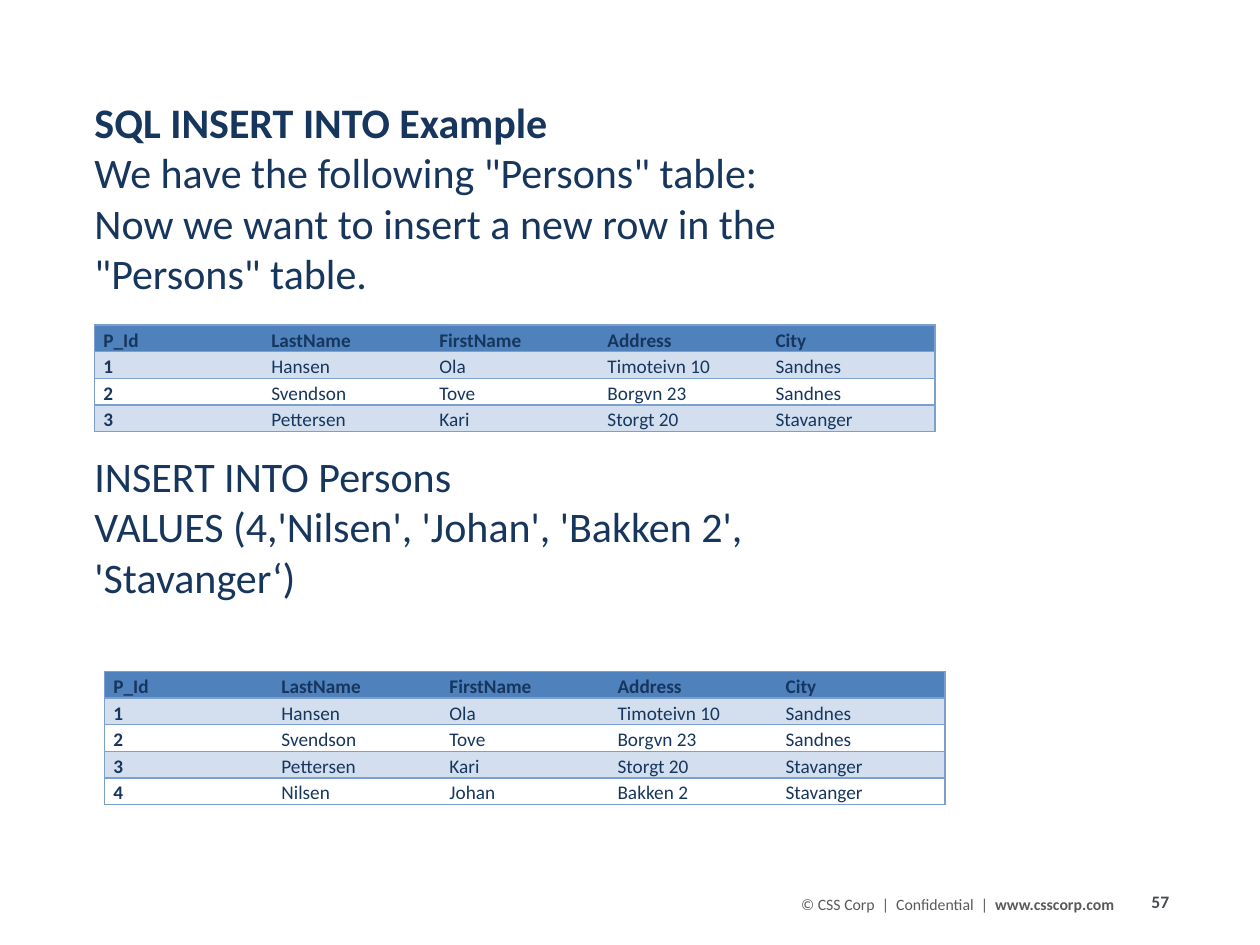
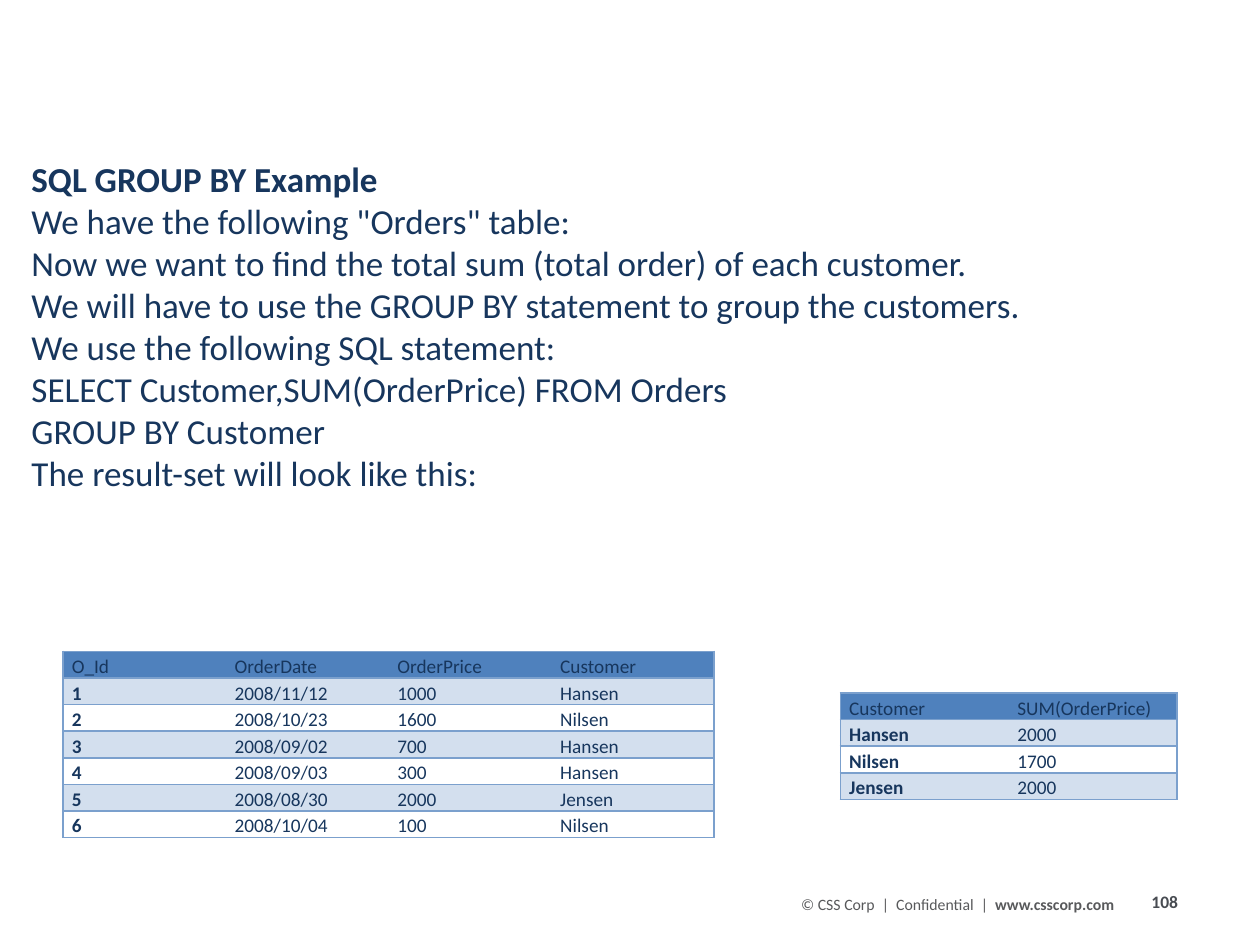
from dataclasses import dataclass

import pptx
import pptx.dml.color
import pptx.enum.text
import pptx.oxml.ns
import pptx.util
from lxml import etree
from pptx.util import Inches


@dataclass(frozen=True)
class Theme:
    """Colours, font and type sizes of the deck."""
    font: str = "Calibri"
    navy: str = "17365D"
    header_fill: str = "4F81BD"
    band_fill: str = "D3DFEE"
    rule: str = "7BA0CD"
    footer_grey: str = "58595B"
    number_grey: str = "484C52"
    table_size: int = 11
    footer_size: int = 9
    number_size: int = 10
    row_height: float = 0.21


THEME = Theme()

PERSONS = [
    ("P_Id", "LastName", "FirstName", "Address", "City"),
    ("1", "Hansen", "Ola", "Timoteivn 10", "Sandnes"),
    ("2", "Svendson", "Tove", "Borgvn 23", "Sandnes"),
    ("3", "Pettersen", "Kari", "Storgt 20", "Stavanger"),
]
NEW_PERSON = ("4", "Nilsen", "Johan", "Bakken 2", "Stavanger")

ORDERS = [
    ("O_Id", "OrderDate", "OrderPrice", "Customer"),
    ("1", "2008/11/12", "1000", "Hansen"),
    ("2", "2008/10/23", "1600", "Nilsen"),
    ("3", "2008/09/02", "700", "Hansen"),
    ("4", "2008/09/03", "300", "Hansen"),
    ("5", "2008/08/30", "2000", "Jensen"),
    ("6", "2008/10/04", "100", "Nilsen"),
]
CUSTOMER_TOTALS = [
    ("Customer", "SUM(OrderPrice)"),
    ("Hansen", "2000"),
    ("Nilsen", "1700"),
    ("Jensen", "2000"),
]

INSERT_TEXT = [
    "SQL INSERT INTO Example",
    'We have the following "Persons" table:',
    'Now we want to insert a new row in the "Persons" table.',
    "INSERT INTO Persons\nVALUES (4,'Nilsen', 'Johan', 'Bakken 2', 'Stavanger‘)",
]
GROUP_TEXT = [
    "SQL GROUP BY Example",
    'We have the following "Orders" table:',
    "Now we want to find the total sum (total order) of each customer.",
    "We will have to use the GROUP BY statement to group the customers.",
    "We use the following SQL statement:",
    "SELECT Customer,SUM(OrderPrice) FROM Orders\nGROUP BY Customer",
    "The result-set will look like this:",
]


def style_runs(paragraph, size, color, bold=False):
    """Give every run of a paragraph the deck font, a size, a colour and a weight."""
    for span in paragraph.runs:
        span.font.name = THEME.font
        span.font.size = pptx.util.Pt(size)
        span.font.bold = bold
        span.font.color.rgb = pptx.dml.color.RGBColor.from_string(color)


def add_box(page, left, top, width, height, side_inset=0.1):
    """Add a wrapping text box and return its text frame."""
    box = page.shapes.add_textbox(Inches(left), Inches(top), Inches(width), Inches(height))
    frame = box.text_frame
    frame.word_wrap = True
    frame.margin_left = frame.margin_right = Inches(side_inset)
    return frame


def add_footer(page, number):
    """Add the copyright line and the page number."""
    para = add_box(page, 9.04, 7.02, 0.79, 0.27).paragraphs[0]
    para.text = str(number)
    style_runs(para, THEME.number_size, THEME.number_grey, bold=True)

    para = add_box(page, 6.26, 7.05, 3.08, 0.25).paragraphs[0]
    for text in ("© CSS Corp  |  Confidential  |  ", "www.csscorp.com"):
        para.add_run().text = text
    style_runs(para, THEME.footer_size, THEME.footer_grey)
    para.runs[-1].font.bold = True


def add_lesson(page, lines, left, top, width, height, size):
    """Add the lesson text with a bold first line and return its paragraphs."""
    frame = add_box(page, left, top, width, height, side_inset=0)
    frame.vertical_anchor = pptx.enum.text.MSO_ANCHOR.MIDDLE
    for index, line in enumerate(lines):
        para = frame.add_paragraph() if index else frame.paragraphs[0]
        para.text = line
        style_runs(para, size, THEME.navy, bold=index == 0)
    return frame.paragraphs


def set_borders(cell, is_first, is_last):
    """Rule a cell above and below, and at the outer sides of the table."""
    properties = cell._tc.get_or_add_tcPr()
    for side, ruled in (("L", is_first), ("R", is_last), ("T", True), ("B", True)):
        line = etree.SubElement(properties, pptx.oxml.ns.qn(f"a:ln{side}"), w="12700")
        if ruled:
            fill = etree.SubElement(line, pptx.oxml.ns.qn("a:solidFill"))
            etree.SubElement(fill, pptx.oxml.ns.qn("a:srgbClr"), val=THEME.rule)
        else:
            etree.SubElement(line, pptx.oxml.ns.qn("a:noFill"))


def fill_cell(cell, row_index):
    """Fill header and odd rows and leave even rows clear."""
    if row_index and row_index % 2 == 0:
        cell.fill.background()
        return
    color = THEME.band_fill if row_index else THEME.header_fill
    cell.fill.solid()
    cell.fill.fore_color.rgb = pptx.dml.color.RGBColor.from_string(color)


def add_data_table(page, rows, left, top, width, bold_header=False):
    """Add a banded table with equal columns and a bold first column."""
    column_count = len(rows[0])
    table = page.shapes.add_table(
        len(rows), column_count, Inches(left), Inches(top),
        Inches(width), Inches(THEME.row_height * len(rows))).table
    table.first_row = table.horz_banding = False
    for row_index, values in enumerate(rows):
        for column_index, value in enumerate(values):
            cell = table.cell(row_index, column_index)
            cell.margin_left = cell.margin_right = Inches(0.07)
            cell.margin_top = cell.margin_bottom = 0
            para = cell.text_frame.paragraphs[0]
            para.text = value
            para.line_spacing = 1.15
            bold = column_index == 0 if row_index else bold_header
            style_runs(para, THEME.table_size, THEME.navy, bold)
            set_borders(cell, column_index == 0, column_index == column_count - 1)
            fill_cell(cell, row_index)


def add_page(deck, number):
    """Add a blank page with its footer."""
    page = deck.slides.add_slide(deck.slide_layouts[6])
    add_footer(page, number)
    return page


def build_insert_page(deck):
    """Build the INSERT INTO example."""
    page = add_page(deck, 57)
    add_data_table(page, PERSONS, 0.75, 2.58, 6.67, bold_header=True)
    add_data_table(page, PERSONS + [NEW_PERSON], 0.83, 5.33, 6.67, bold_header=True)
    paragraphs = add_lesson(page, INSERT_TEXT, 0.75, 0.7, 6.67, 4.14, size=24)
    paragraphs[-1].space_before = pptx.util.Pt(87)


def build_group_page(deck):
    """Build the GROUP BY example."""
    page = add_page(deck, 108)
    add_data_table(page, ORDERS, 0.5, 5.17, 5.17)
    add_data_table(page, CUSTOMER_TOTALS, 6.67, 5.5, 2.67)
    add_lesson(page, GROUP_TEXT, 0.25, 1.19, 8.83, 2.79, size=20)


def main():
    """Build and save the deck."""
    deck = pptx.Presentation()
    deck.slide_width = Inches(10)
    deck.slide_height = Inches(7.5)
    build_insert_page(deck)
    build_group_page(deck)
    deck.save("out.pptx")


if __name__ == "__main__":
    main()
